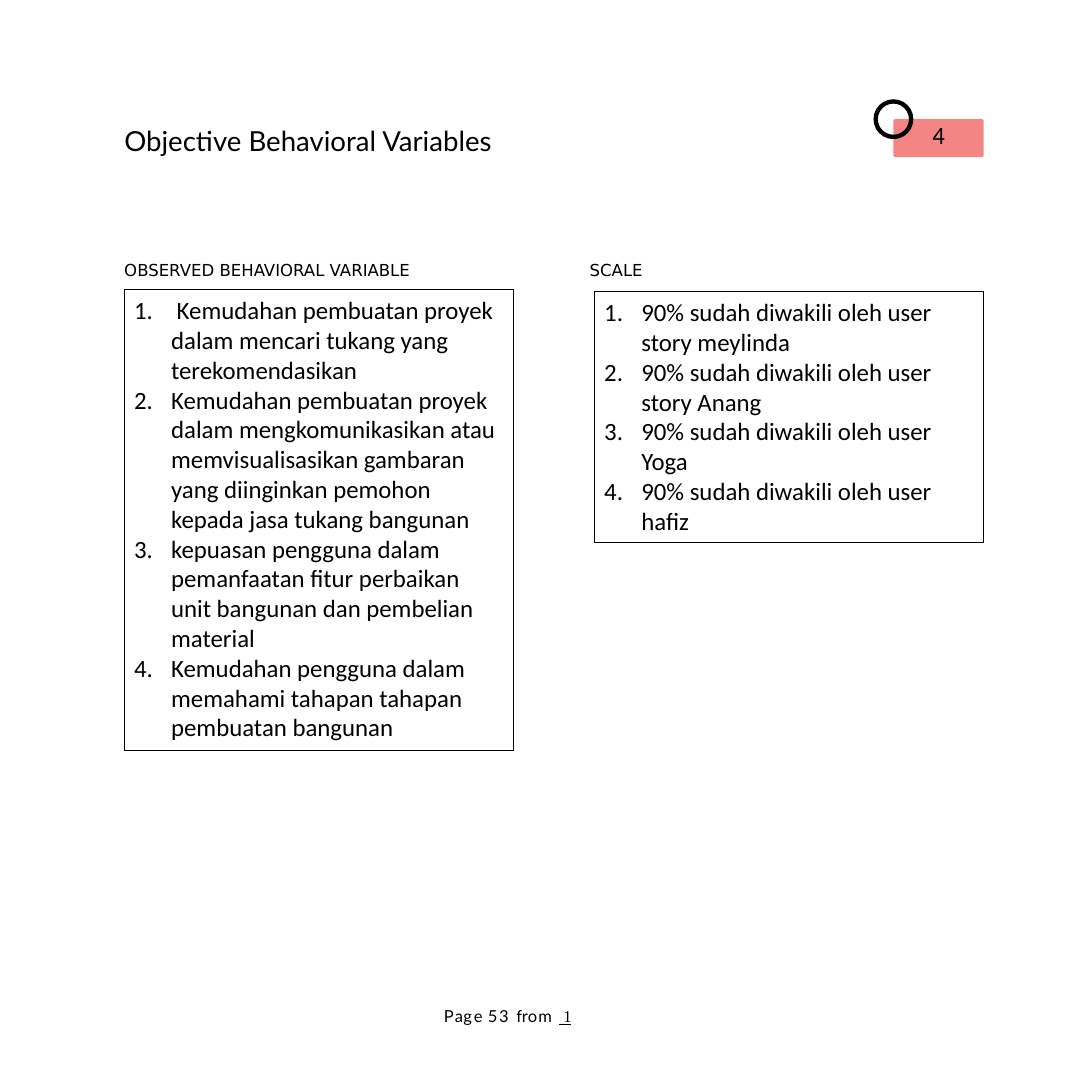
"""Build the slide of objective behavioral variables and their scale."""
import pptx
import pptx.dml.color
import pptx.enum.shapes
import pptx.enum.text
import pptx.oxml.ns
import lxml.etree
from pptx.util import Cm, Pt

COLORS = {"ink": "000000", "badge": "F58585"}
TITLE = "Objective Behavioral Variables"
BADGE = "4"
COLUMNS = [
    {
        "heading": "OBSERVED BEHAVIORAL VARIABLE",
        "heading_box": (3.18, 6.63, 7.82, 0.56),
        "list_box": (3.18, 7.42, 9.96, 11.79),
        "items": [
            " Kemudahan pembuatan proyek dalam mencari tukang yang terekomendasikan",
            "Kemudahan pembuatan proyek dalam mengkomunikasikan atau memvisualisasikan "
            "gambaran yang diinginkan pemohon kepada jasa tukang bangunan",
            "kepuasan pengguna dalam pemanfaatan fitur perbaikan unit bangunan dan "
            "pembelian material",
            "Kemudahan pengguna dalam memahami tahapan tahapan pembuatan bangunan",
        ],
    },
    {
        "heading": "SCALE",
        "heading_box": (15.09, 6.63, 1.47, 0.56),
        "list_box": (15.21, 7.47, 9.96, 6.4),
        "items": [
            "90% sudah diwakili oleh user story meylinda",
            "90% sudah diwakili oleh user story Anang",
            "90% sudah diwakili oleh user Yoga",
            "90% sudah diwakili oleh user hafiz",
        ],
    },
]
FOOTER = [("P", 70), ("a", 20), ("g", 140), ("e ", 40), ("53 ", 120),
          ("fr", -10), ("o", 70), ("m ", 110)]
PAGE_COUNT = " 1\t"

TITLE_FONT = {"name": "Lato", "size": Pt(20), "bold": False}
HEADING_FONT = {"name": "DejaVu Sans", "size": Pt(12)}
BODY_FONT = {"name": "Calibri", "size": Pt(18)}
FOOTER_FONT = {"name": "Lato", "size": Pt(12)}
COUNT_FONT = {"name": "Times New Roman", "size": Pt(12), "underline": True}

BADGE_LEFT, BADGE_TOP, BADGE_WIDTH, BADGE_HEIGHT = 22.86, 3.05, 2.31, 0.97
RING_SIZE = 1.02
SHAPES = pptx.enum.shapes.MSO_SHAPE
ALIGN = pptx.enum.text.PP_ALIGN


def color(name):
    return pptx.dml.color.RGBColor.from_string(COLORS[name])


def set_all(target, values):
    for name, value in values.items():
        setattr(target, name, value)


def place(shape, box):
    set_all(shape, dict(zip(("left", "top", "width", "height"), map(Cm, box))))


def set_frame(frame, side=0, top=0, bottom=0):
    set_all(frame, {
        "margin_left": Cm(side), "margin_right": Cm(side),
        "margin_top": Cm(top), "margin_bottom": Cm(bottom),
        "word_wrap": True, "vertical_anchor": pptx.enum.text.MSO_ANCHOR.TOP,
        "auto_size": pptx.enum.text.MSO_AUTO_SIZE.NONE,
    })


def add_span(para, text, font, align=ALIGN.LEFT):
    para.alignment = align
    span = para.add_run()
    span.text = text
    set_all(span.font, font)
    span.font.color.rgb = color("ink")
    return span


def add_element(parent, tag, **attributes):
    return lxml.etree.SubElement(parent, pptx.oxml.ns.qn(tag), attributes)


def add_text(page, box, text, font):
    shape = page.shapes.add_textbox(*map(Cm, box))
    set_frame(shape.text_frame, top=0.03)
    add_span(shape.text_frame.paragraphs[0], text, font)


def add_shape(page, kind, box, fill=None, line=None):
    shape = page.shapes.add_shape(kind, *map(Cm, box))
    shape.shadow.inherit = False
    if fill:
        shape.fill.solid()
        shape.fill.fore_color.rgb = color(fill)
    else:
        shape.fill.background()
    if line:
        shape.line.color.rgb = color(line)
        shape.line.width = Pt(0.75)
    else:
        shape.line.fill.background()
    return shape


def add_list(page, box, items):
    shape = add_shape(page, SHAPES.RECTANGLE, box, line="ink")
    frame = shape.text_frame
    set_frame(frame, side=0.25, top=0.13, bottom=0.13)
    for index, item in enumerate(items):
        para = frame.add_paragraph() if index else frame.paragraphs[0]
        properties = para._p.get_or_add_pPr()
        properties.set("marL", str(Cm(0.95)))
        properties.set("indent", str(-Cm(0.95)))
        add_element(properties, "a:buFont", typeface="+mj-lt")
        add_element(properties, "a:buAutoNum", type="arabicPeriod")
        add_span(para, item, BODY_FONT)


def add_badge(page):
    box = (BADGE_LEFT, BADGE_TOP, BADGE_WIDTH, BADGE_HEIGHT)
    badge = add_shape(page, SHAPES.ROUNDED_RECTANGLE, box, fill="badge")
    badge.adjustments[0] = 0.05
    set_frame(badge.text_frame)
    add_span(badge.text_frame.paragraphs[0], BADGE, BODY_FONT, ALIGN.CENTER)
    corner = (BADGE_LEFT - RING_SIZE / 2, BADGE_TOP - RING_SIZE / 2)
    ring = add_shape(page, SHAPES.DONUT, (*corner, RING_SIZE, RING_SIZE), fill="ink")
    ring.adjustments[0] = 0.11


def add_footer(page):
    shape = page.shapes.add_textbox(*map(Cm, (11.33, 25.76, 3.58, 0.51)))
    set_frame(shape.text_frame)
    para = shape.text_frame.paragraphs[0]
    properties = para._p.get_or_add_pPr()
    properties.set("marL", str(Cm(0.03)))
    tabs = add_element(properties, "a:tabLst")
    add_element(tabs, "a:tab", pos=str(Cm(3.43)), algn="l")
    para.line_spacing = Pt(14.1)
    for text, spacing in FOOTER:
        span = add_span(para, text, FOOTER_FONT)
        span._r.get_or_add_rPr().set("spc", str(spacing))
    add_span(para, PAGE_COUNT, COUNT_FONT)


def main():
    deck = pptx.Presentation()
    set_all(deck, {"slide_width": Cm(27.94), "slide_height": Cm(27.94)})
    page = deck.slides.add_slide(deck.slide_layouts[5])
    title = page.shapes.title
    place(title, (3.18, 3.12, 11.73, 0.89))
    set_frame(title.text_frame, top=0.05)
    add_span(title.text_frame.paragraphs[0], TITLE, TITLE_FONT)
    for column in COLUMNS:
        add_text(page, column["heading_box"], column["heading"], HEADING_FONT)
        add_list(page, column["list_box"], column["items"])
    add_badge(page)
    add_footer(page)
    deck.save("out.pptx")


if __name__ == "__main__":
    main()
